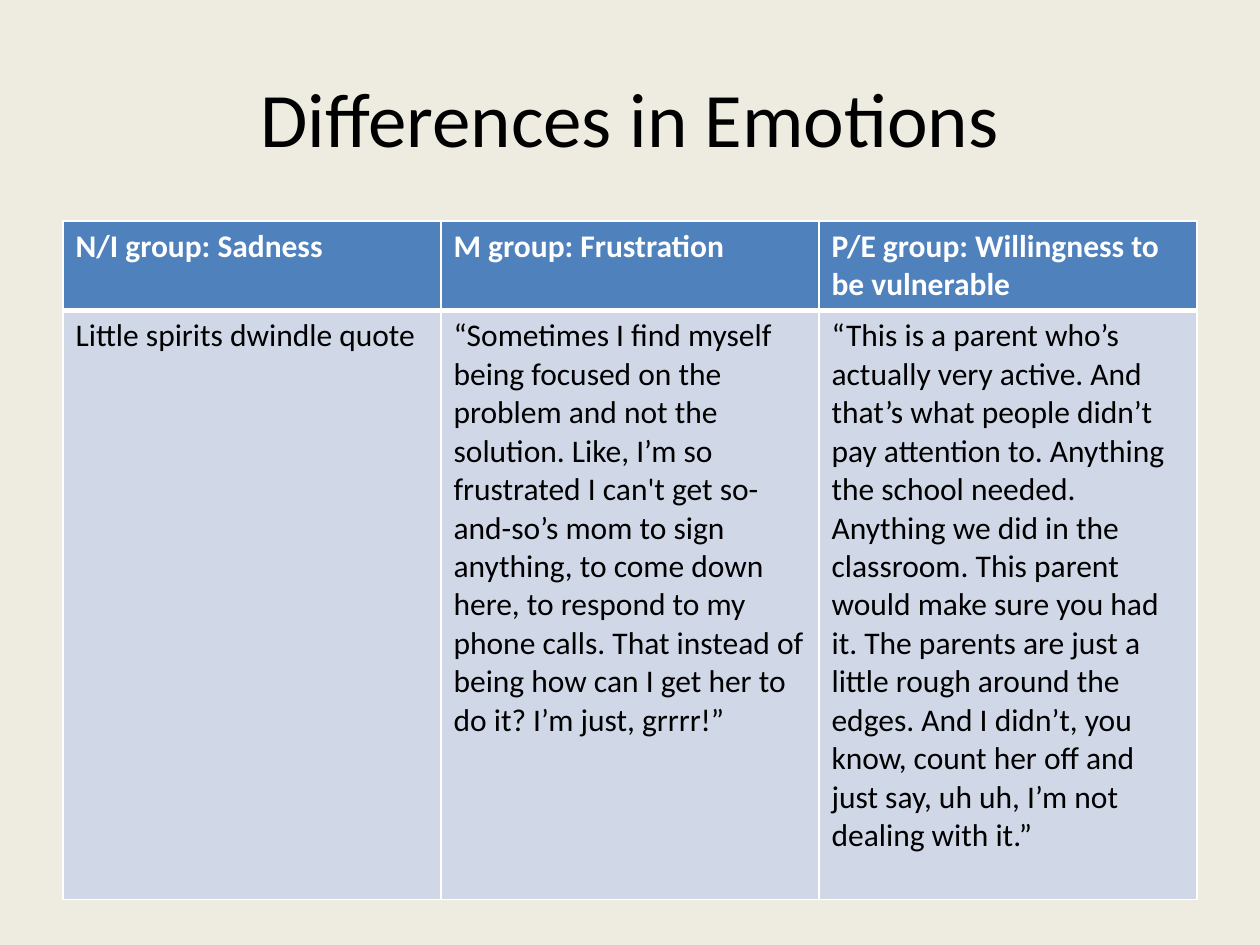
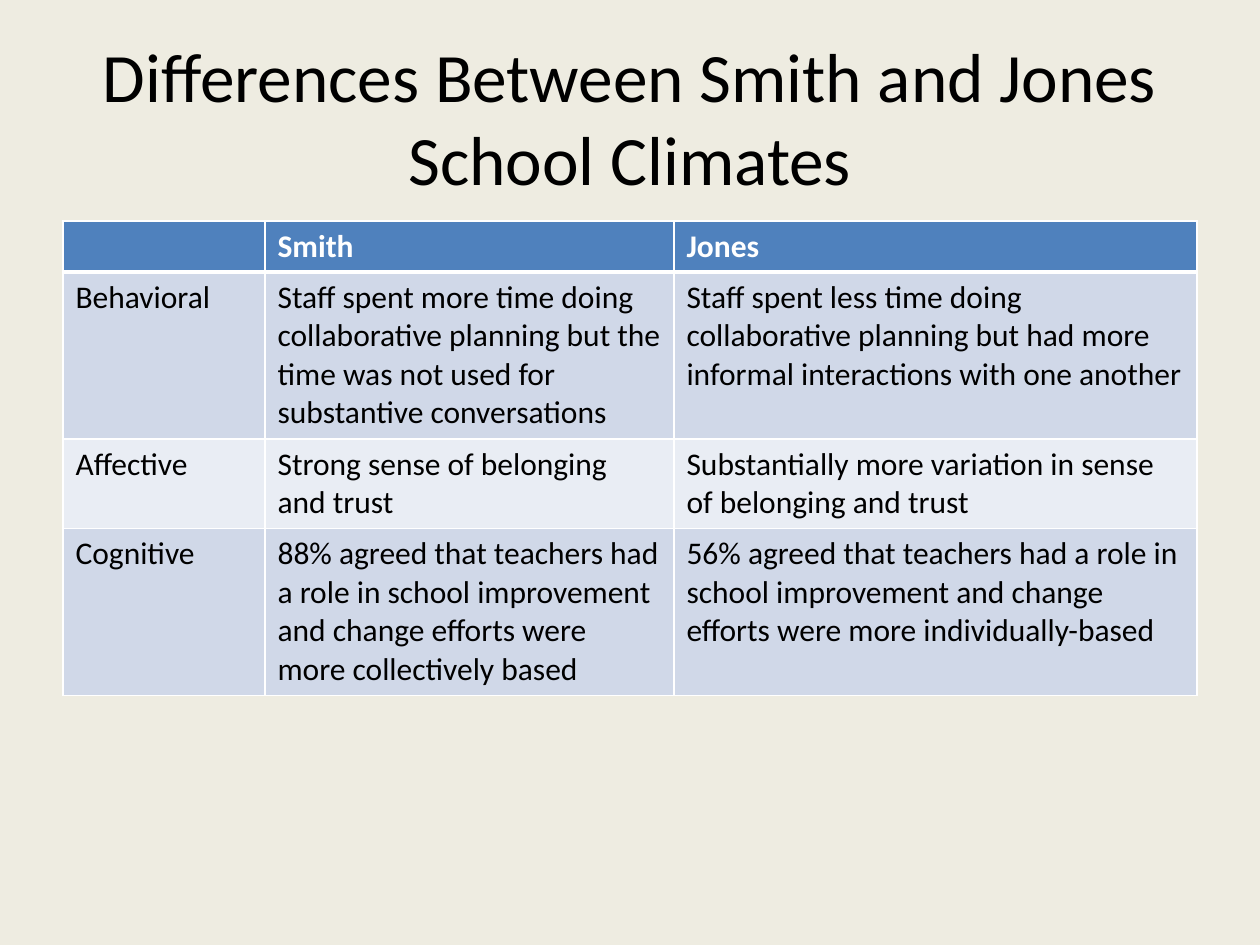
from lxml import etree
from pptx import Presentation
from pptx import util as u
from pptx.dml.color import RGBColor
from pptx.enum import text
from pptx.oxml.ns import qn

PX = u.Inches(1) / 126
FONT = "Calibri"
CREAM = RGBColor(0xEE, 0xEC, 0xE1)
BLUE = RGBColor(0x4F, 0x81, 0xBD)
BAND_DARK = RGBColor(0xD0, 0xD8, 0xE8)
BAND_LIGHT = RGBColor(0xE9, 0xED, 0xF4)
WHITE = RGBColor(0xFF, 0xFF, 0xFF)
BLACK = RGBColor(0, 0, 0)
LEFT, WIDTH = 63, 1134
TITLE_TOP, TITLE_HEIGHT = 38, 157
TABLE_TOP = 221

EMOTIONS = [
    ["N/I group: Sadness", "M group: Frustration",
     "P/E group: Willingness to be vulnerable"],
    ["Little spirits dwindle quote",
     "“Sometimes I find myself being focused on the problem and not the "
     "solution. Like, I’m so frustrated I can't get so-and-so’s mom to sign "
     "anything, to come down here, to respond to my phone calls. That instead "
     "of being how can I get her to do it? I’m just, grrrr!”",
     "“This is a parent who’s actually very active. And that’s what people "
     "didn’t pay attention to. Anything the school needed. Anything we did in "
     "the classroom. This parent would make sure you had it. The parents are "
     "just a little rough around the edges. And I didn’t, you know, count her "
     "off and just say, uh uh, I’m not dealing with it.”"],
]
CLIMATES = [
    ["", "Smith", "Jones"],
    ["Behavioral",
     "Staff spent more time doing collaborative planning but the time was not "
     "used for substantive conversations",
     "Staff spent less time doing collaborative planning but had more informal "
     "interactions with one another"],
    ["Affective", "Strong sense of belonging and trust",
     "Substantially more variation in sense of belonging and trust"],
    ["Cognitive",
     "88% agreed that teachers had a role in school improvement and change "
     "efforts were more collectively based",
     "56% agreed that teachers had a role in school improvement and change "
     "efforts were more individually-based"],
]


def px(length):
    return u.Emu(round(length * PX))


def write(frame, words, size=18, color=BLACK, bold=False,
          align=text.PP_ALIGN.LEFT):
    frame.word_wrap = True
    paragraph = frame.paragraphs[0]
    paragraph.alignment = align
    paragraph.font.size = u.Pt(size)
    if words:
        run = paragraph.add_run()
        run.text = words
        run.font.name = FONT
        run.font.size = u.Pt(size)
        run.font.bold = bold
        run.font.color.rgb = color


def add_borders(cell, **widths):
    properties = cell._tc.get_or_add_tcPr()
    for side in "LRTB":
        line = etree.SubElement(properties, qn(f"a:ln{side}"),
                                w=str(u.Pt(widths.get(side, 1))))
        fill = etree.SubElement(line, qn("a:solidFill"))
        etree.SubElement(fill, qn("a:srgbClr"), val=str(WHITE))


def fill_cell(cell, words, row):
    heading = row == 0
    add_borders(cell, T=3 if row == 1 else 1, B=3 if heading else 1)
    cell.fill.solid()
    if heading:
        cell.fill.fore_color.rgb = BLUE
    else:
        cell.fill.fore_color.rgb = BAND_DARK if row % 2 else BAND_LIGHT
    write(cell.text_frame, words, color=WHITE if heading else BLACK,
          bold=heading)


def add_comparison(slide, content, widths, heights):
    frame = slide.shapes.add_table(len(heights), len(widths), px(LEFT),
                                   px(TABLE_TOP), px(WIDTH), px(sum(heights)))
    grid = frame.table
    for column, width in zip(grid.columns, widths):
        column.width = px(width)
    for row, height in enumerate(heights):
        grid.rows[row].height = px(height)
        for column, words in enumerate(content[row]):
            fill_cell(grid.cell(row, column), words, row)


def add_titled_slide(deck, heading, size):
    slide = deck.slides.add_slide(deck.slide_layouts[5])
    slide.background.fill.solid()
    slide.background.fill.fore_color.rgb = CREAM
    title = slide.shapes.title
    title.left, title.top = px(LEFT), px(TITLE_TOP)
    title.width, title.height = px(WIDTH), px(TITLE_HEIGHT)
    title.text_frame.auto_size = text.MSO_AUTO_SIZE.NONE
    title.text_frame.vertical_anchor = text.MSO_ANCHOR.MIDDLE
    write(title.text_frame, heading, size=size, align=text.PP_ALIGN.CENTER)
    return slide


def main():
    deck = Presentation()
    deck.slide_width, deck.slide_height = u.Inches(10), u.Inches(7.5)
    emotions = add_titled_slide(deck, "Differences in Emotions", 44)
    add_comparison(emotions, EMOTIONS, [WIDTH // 3] * 3, [89, 589])
    climates = add_titled_slide(
        deck, "Differences Between Smith and Jones School Climates", 39.6)
    add_comparison(climates, CLIMATES, [202, 409, 523], [51, 167, 89, 167])
    deck.save("out.pptx")


if __name__ == "__main__":
    main()
